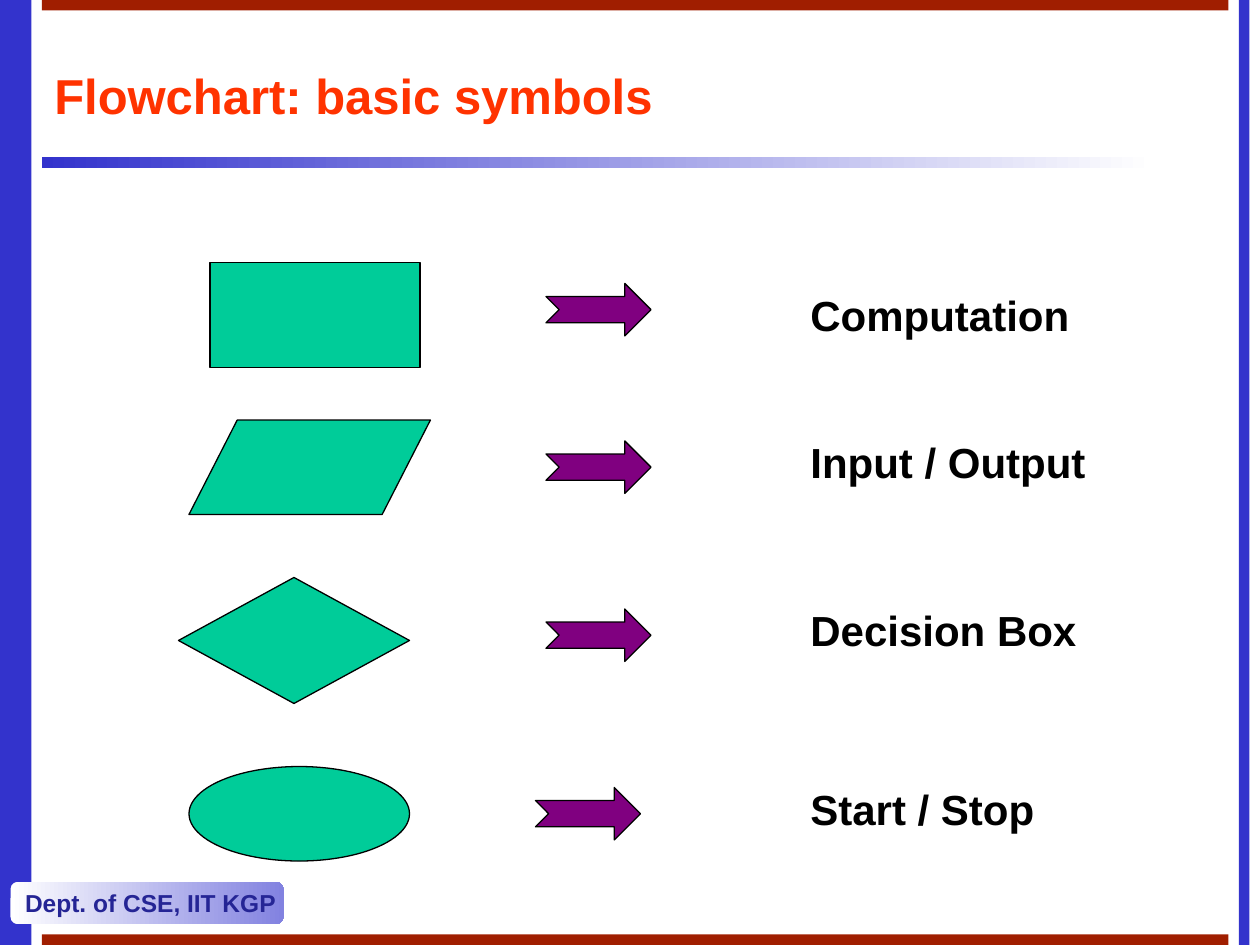
from pptx import Presentation
from pptx.dml.color import RGBColor
from pptx.enum.shapes import MSO_SHAPE
from pptx.enum.text import MSO_ANCHOR, PP_ALIGN
from pptx.util import Emu, Pt

EMU_PER_PX = 9525  # 96 px to the inch
WIDTH, HEIGHT = 960, 720
FONT = "Arial"
COLORS = {
    "blue": "3333CC",
    "light_blue": "8282E0",
    "navy": "252595",
    "red": "A01E00",
    "orange": "FF3300",
    "green": "00CC99",
    "purple": "800080",
    "black": "000000",
    "white": "FFFFFF",
}


def px(*lengths):
    return [Emu(length * EMU_PER_PX) for length in lengths]


def rgb(name):
    return RGBColor.from_string(COLORS[name])


class SlideBuilder:
    def __init__(self, slide):
        self.slide = slide

    def shape(self, kind, box, fill, line=None):
        """Preset shape; a pair of colours as fill gives a gradient."""
        shape = self.slide.shapes.add_shape(kind, *px(*box))
        shape.shadow.inherit = False
        if isinstance(fill, tuple):
            shape.fill.gradient()
            shape.fill.gradient_angle = 0
            for stop, color in zip(shape.fill.gradient_stops, fill):
                stop.color.rgb = rgb(color)
        else:
            shape.fill.solid()
            shape.fill.fore_color.rgb = rgb(fill)
        if line:
            shape.line.color.rgb = rgb(line)
            shape.line.width = Pt(0.75)
        else:
            shape.line.fill.background()
        return shape

    def bar(self, box, fill):
        return self.shape(MSO_SHAPE.RECTANGLE, box, fill)

    def add_words(self, frame, text, size, color, anchor, wrap=True):
        frame.word_wrap = wrap
        frame.vertical_anchor = anchor
        paragraph = frame.paragraphs[0]
        paragraph.alignment = PP_ALIGN.LEFT
        run = paragraph.add_run()
        run.text = text
        run.font.name = FONT
        run.font.size = Pt(size)
        run.font.bold = True
        run.font.color.rgb = rgb(color)

    def text(self, box, text, size, color, anchor=MSO_ANCHOR.TOP):
        label = self.slide.shapes.add_textbox(*px(*box))
        self.add_words(label.text_frame, text, size, color, anchor)

    def badge(self, box, text, fill):
        badge = self.shape(MSO_SHAPE.ROUNDED_RECTANGLE, box, fill)
        badge.adjustments[0] = 0.17
        self.add_words(badge.text_frame, text, 14, "navy", MSO_ANCHOR.MIDDLE,
                       wrap=False)


def main():
    presentation = Presentation()
    presentation.slide_width, presentation.slide_height = px(WIDTH, HEIGHT)
    slide = presentation.slides.add_slide(presentation.slide_layouts[6])
    builder = SlideBuilder(slide)

    # Frame: side bars, title rule, department badge, top and bottom bars
    builder.bar((0, 0, 24, HEIGHT), "blue")
    builder.bar((32, 120, 848, 8), ("blue", "white"))
    builder.badge((8, 672, 208, 32), "Dept. of CSE, IIT KGP", ("white", "light_blue"))
    builder.bar((944, 0, 8, HEIGHT), "blue")
    for top in (0, HEIGHT - 8):
        builder.bar((32, top, 904, 8), "red")

    # Title
    builder.text((32, 32, 904, 80), "Flowchart: basic symbols", 28, "orange",
                 MSO_ANCHOR.MIDDLE)

    # Rows: symbol, arrow, meaning
    rows = [
        (MSO_SHAPE.FLOWCHART_PROCESS, (160, 200, 160, 80),
         (416, 216), (216, 248), "Computation"),
        (MSO_SHAPE.FLOWCHART_DATA, (144, 320, 184, 72),
         (416, 336), (328, 276), "Input / Output"),
        (MSO_SHAPE.FLOWCHART_DECISION, (136, 440, 176, 96),
         (416, 464), (456, 248), "Decision Box"),
        (MSO_SHAPE.OVAL, (144, 584, 168, 72),
         (408, 600), (592, 248), "Start / Stop"),
    ]
    for symbol, symbol_box, arrow_corner, (label_top, label_width), meaning in rows:
        builder.shape(symbol, symbol_box, "green", "black")
        builder.shape(MSO_SHAPE.NOTCHED_RIGHT_ARROW, (*arrow_corner, 80, 40),
                      "purple", "black")
        builder.text((608, label_top, label_width, 48), meaning, 24, "black")

    presentation.save("out.pptx")


if __name__ == "__main__":
    main()
